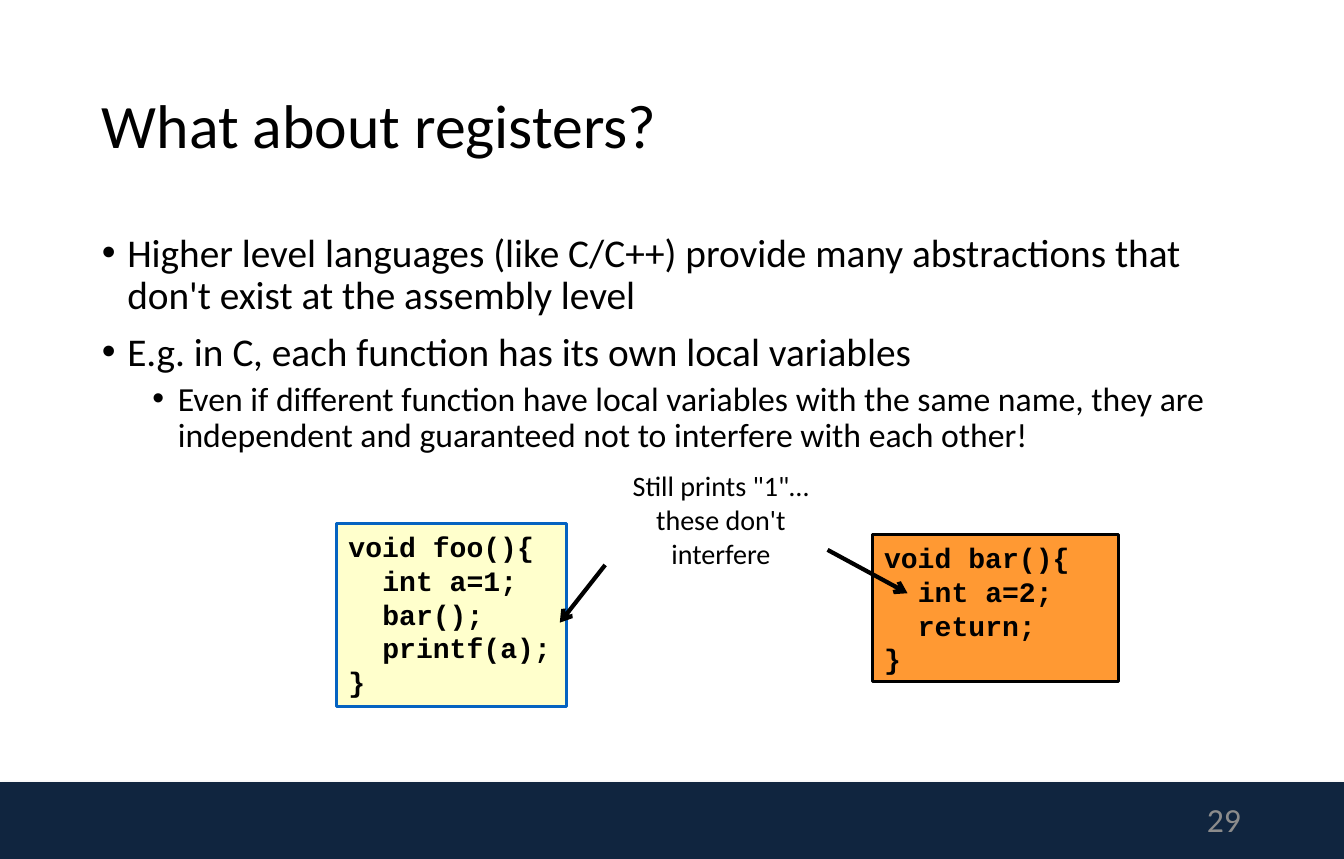
"""Build the slide about registers and local variables."""
import dataclasses
import typing

import lxml.etree
import pptx
import pptx.dml.color
import pptx.enum.shapes
import pptx.enum.text
import pptx.oxml
import pptx.oxml.ns
import pptx.shapes.autoshape
import pptx.slide
import pptx.util

Cm = pptx.util.Cm
RGBColor = pptx.dml.color.RGBColor
Align = pptx.enum.text.PP_ALIGN
Anchor = pptx.enum.text.MSO_ANCHOR
qn = pptx.oxml.ns.qn

BLACK = RGBColor(0x00, 0x00, 0x00)
NAVY = RGBColor(0x10, 0x25, 0x3F)
GREY = RGBColor(0x8C, 0x8C, 0x8C)
CREAM = RGBColor(0xFF, 0xFF, 0xCC)
ORANGE = RGBColor(0xFF, 0x99, 0x33)
BLUE = RGBColor(0x05, 0x63, 0xC1)

SLIDE_WIDTH, SLIDE_HEIGHT = 33.78, 21.59
FOOTER_TOP = 19.66
CODE_INDENT = 0.85
BULLET_HANG = 0.64
DRAWING = "http://schemas.openxmlformats.org/drawingml/2006/main"
FOOTER_SHADOW = (
    f'<a:outerShdw xmlns:a="{DRAWING}" blurRad="39400" dist="22900" dir="5400000" rotWithShape="0">'
    '<a:srgbClr val="808080"><a:alpha val="35000"/></a:srgbClr></a:outerShdw>'
)


@dataclasses.dataclass(frozen=True)
class Line:
    """One paragraph with its indent in centimetres."""
    text: str
    indent: float = 0
    bullet: bool = False
    format: dict[str, typing.Any] = dataclasses.field(default_factory=dict)
    size: float = 20


@dataclasses.dataclass(frozen=True)
class TextBlock:
    """A text box, or a filled box when it has a fill colour."""
    box: tuple[float, float, float, float]
    lines: list[Line]
    font: str = "Calibri"
    color: RGBColor = BLACK
    bold: bool = False
    anchor: Anchor = Anchor.TOP
    margins: tuple[float, float] = (0.25, 0.13)
    fill: RGBColor | None = None
    border: RGBColor | None = None


@dataclasses.dataclass(frozen=True)
class Arrow:
    """A straight arrow from start to end."""
    start: tuple[float, float]
    end: tuple[float, float]


def code(*rows: str) -> list[Line]:
    """Indent the body of a function between its first and last row."""
    return [Line(rows[0]), *(Line(row, CODE_INDENT) for row in rows[1:-1]), Line(rows[-1])]


def bullet(text: str, indent: float, size: float, space: float) -> Line:
    """Describe one bulleted paragraph."""
    spacing = {"line_spacing": 0.9, "space_before": pptx.util.Pt(space)}
    return Line(text, indent, True, spacing, size)


BLOCKS = [
    TextBlock((2.31, 1.14, 29.13, 4.17),
              [Line("What about registers?", format={"line_spacing": 0.9}, size=44)],
              anchor=Anchor.MIDDLE),
    TextBlock((2.31, 5.74, 29.13, 13.69), [
        bullet("Higher level languages (like C/C++) provide many abstractions that "
               "don't exist at the assembly level", 0.64, 28, 10),
        bullet("E.g. in C, each function has its own local variables", 0.64, 28, 10),
        bullet("Even if different function have local variables with the same name, they are "
               "independent and guaranteed not to interfere with each other!", 1.91, 24, 5),
    ]),
    TextBlock((8.46, 13.16, 5.77, 4.6),
              code("void foo(){", "int a=1;", "bar();", "printf(a);", "}"),
              font="Courier New", bold=True, margins=(0.3, 0.15), fill=CREAM, border=BLUE),
    TextBlock((21.92, 13.44, 6.2, 3.68),
              code("void bar(){", "int a=2;", "return;", "}"),
              font="Courier New", bold=True, margins=(0.3, 0.15), fill=ORANGE, border=BLACK),
    TextBlock((15.44, 11.63, 5.36, 2.9),
              [Line('Still prints "1"… these don\'t interfere', format={"alignment": Align.CENTER})],
              margins=(0.3, 0.15)),
    TextBlock((23.85, 20.02, 7.59, 1.14),
              [Line("29", format={"alignment": Align.RIGHT}, size=24)],
              color=GREY, anchor=Anchor.MIDDLE),
]
ARROWS = [
    Arrow((15.21, 14.2), (14.07, 15.65)),
    Arrow((20.8, 13.82), (22.81, 14.91)),
]


def apply_format(target: typing.Any, values: dict[str, typing.Any]) -> None:
    """Set every named attribute on the target."""
    for name, value in values.items():
        setattr(target, name, value)


def add_rectangle(slide: pptx.slide.Slide, box: tuple[float, float, float, float],
                  fill: RGBColor, border: RGBColor | None) -> pptx.shapes.autoshape.Shape:
    """Draw a flat rectangle with an optional border."""
    shape = slide.shapes.add_shape(pptx.enum.shapes.MSO_SHAPE.RECTANGLE, *map(Cm, box))
    shape.fill.solid()
    shape.fill.fore_color.rgb = fill
    if border is None:
        shape.line.fill.background()
    else:
        shape.line.color.rgb = border
        shape.line.width = pptx.util.Pt(2.25)
    shape.shadow.inherit = False
    return shape


def add_footer(slide: pptx.slide.Slide) -> None:
    """Draw the footer band with its soft shadow."""
    box = (0, FOOTER_TOP, SLIDE_WIDTH, SLIDE_HEIGHT - FOOTER_TOP)
    footer = add_rectangle(slide, box, NAVY, None)
    effects = footer.element.spPr.find(qn("a:effectLst"))
    effects.append(pptx.oxml.parse_xml(FOOTER_SHADOW))


def add_block(slide: pptx.slide.Slide, block: TextBlock) -> None:
    """Draw a text block and its paragraphs."""
    if block.fill is None:
        shape = slide.shapes.add_textbox(*map(Cm, block.box))
    else:
        shape = add_rectangle(slide, block.box, block.fill, block.border)
    side, top = map(Cm, block.margins)
    frame = shape.text_frame
    apply_format(frame, {"word_wrap": True, "vertical_anchor": block.anchor,
                         "margin_left": side, "margin_right": side,
                         "margin_top": top, "margin_bottom": top})
    for index, line in enumerate(block.lines):
        paragraph = frame.add_paragraph() if index else frame.paragraphs[0]
        apply_format(paragraph, {"alignment": Align.LEFT, **line.format})
        properties = paragraph._p.get_or_add_pPr()
        properties.set("marL", str(Cm(line.indent)))
        if line.bullet:
            properties.set("indent", str(-Cm(BULLET_HANG)))
            lxml.etree.SubElement(properties, qn("a:buFont"), typeface="Arial")
            lxml.etree.SubElement(properties, qn("a:buChar"), char="•")
        run = paragraph.add_run()
        run.text = line.text
        apply_format(run.font, {"name": block.font, "size": pptx.util.Pt(line.size),
                                "bold": block.bold})
        run.font.color.rgb = block.color


def add_arrow(slide: pptx.slide.Slide, arrow: Arrow) -> None:
    """Draw a black connector with an open arrowhead."""
    connector = slide.shapes.add_connector(
        pptx.enum.shapes.MSO_CONNECTOR.STRAIGHT, *map(Cm, arrow.start + arrow.end))
    connector.line.color.rgb = BLACK
    connector.line.width = pptx.util.Pt(3)
    properties = connector.element.spPr
    lxml.etree.SubElement(properties.find(qn("a:ln")), qn("a:tailEnd"), type="arrow")
    lxml.etree.SubElement(properties, qn("a:effectLst"))


def main() -> None:
    """Build and save the presentation."""
    presentation = pptx.Presentation()
    apply_format(presentation, {"slide_width": Cm(SLIDE_WIDTH), "slide_height": Cm(SLIDE_HEIGHT)})
    slide = presentation.slides.add_slide(presentation.slide_layouts[6])
    add_footer(slide)
    for block in BLOCKS:
        add_block(slide, block)
    for arrow in ARROWS:
        add_arrow(slide, arrow)
    presentation.save("out.pptx")


if __name__ == "__main__":
    main()
